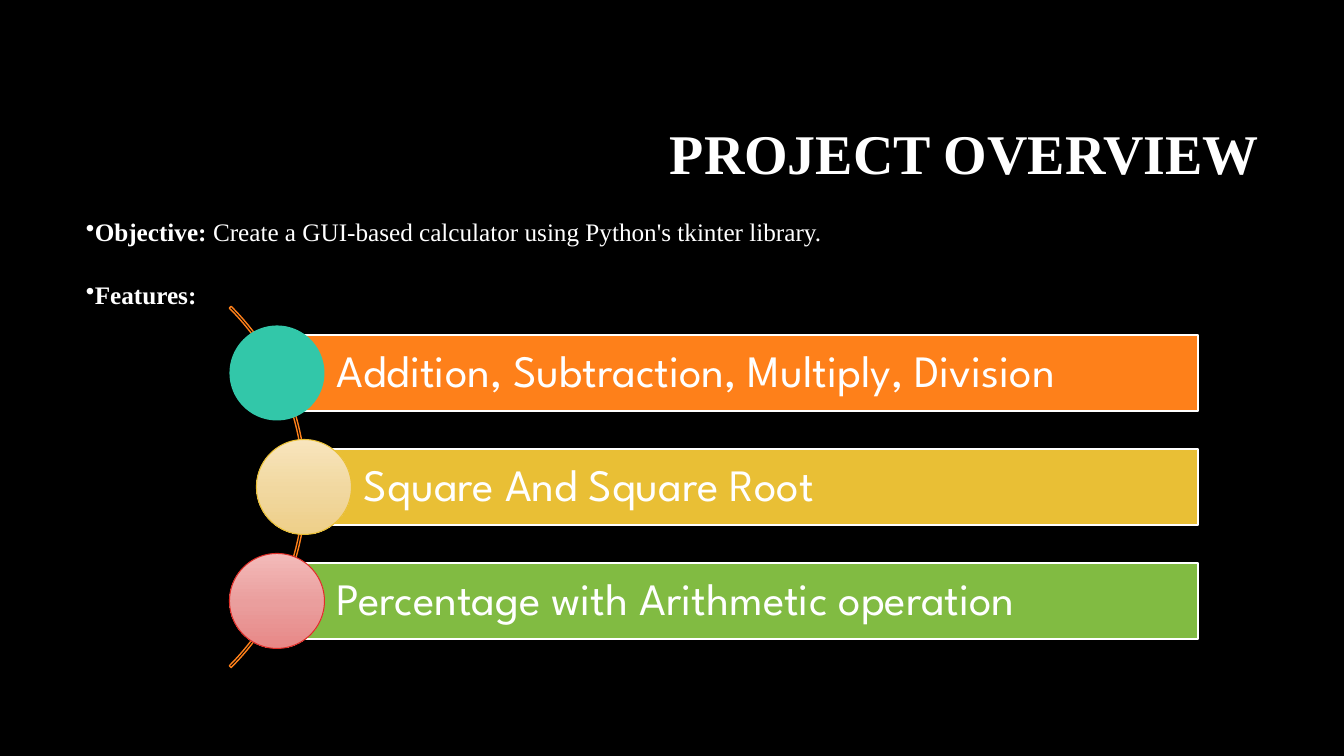
"""Builds the project overview slide of a calculator talk."""
from copy import deepcopy

from lxml.etree import SubElement
from pptx import Presentation
from pptx.dml.color import RGBColor
from pptx.enum.shapes import MSO_SHAPE as Shape
from pptx.enum.text import MSO_ANCHOR as Anchor, PP_ALIGN as Align
from pptx.oxml.ns import qn
from pptx.util import Emu, Pt

COLORS = {
    "background": "000000", "text": "FFFFFF", "arc": "FE801A",
    "orange": "FE801A", "yellow": "E9BF35", "green": "81BB42",
    "teal": "32C7A9", "red": "DF2E28",
    "cream_light": "F8E5BD", "cream": "F1D8A0", "cream_dark": "EECF89",
    "pink_light": "F3BAB9", "pink": "EA9E9D", "pink_dark": "E78887",
}
SERIF, SANS = "Times New Roman", "League Spartan"
TITLE = "PROJECT OVERVIEW"
BULLETS = [
    ("Objective:", " Create a GUI-based calculator using Python's tkinter library."),
    ("Features:", ""),
]
FEATURES = [
    ("Addition, Subtraction, Multiply, Division", 277, "orange", ["teal"], None),
    ("Square And Square Root", 304, "yellow",
     ["cream_light", "cream", "cream_dark"], "yellow"),
    ("Percentage with Arithmetic operation", 277, "green",
     ["pink_light", "pink", "pink_dark"], "red"),
]
STOPS = [0, 0.52, 1]
FIRST_CENTER, PITCH = 373, 114
BAR_RIGHT, BAR_HEIGHT, CIRCLE = 1198, 76, 95
ARC_SIZE, ARC_LEFT = 511, -205


def px(value):
    return Emu(round(value * 914400 / 100.8))


def rgb(name):
    return RGBColor.from_string(COLORS[name])


def style_font(font, name, size, bold=None):
    font.name, font.size, font.bold = name, Pt(size), bold
    font.color.rgb = rgb("text")


def add_text_box(slide, *box):
    frame = slide.shapes.add_textbox(*map(px, box)).text_frame
    frame.word_wrap = True
    frame.vertical_anchor = Anchor.MIDDLE
    return frame


def add_shape(slide, kind, box, line, width=1):
    shape = slide.shapes.add_shape(kind, *map(px, box))
    shape.shadow.inherit = False
    if line:
        shape.line.color.rgb = rgb(line)
        shape.line.width = Pt(width)
    else:
        shape.line.fill.background()
    return shape


def fill_circle(circle, colors):
    if len(colors) == 1:
        circle.fill.solid()
        circle.fill.fore_color.rgb = rgb(colors[0])
        return
    circle.fill.gradient()
    circle.fill.gradient_angle = 270
    stop_list = circle._element.spPr.find(".//" + qn("a:gsLst"))
    stop_list.insert(1, deepcopy(stop_list[0]))
    for stop, position, color in zip(circle.fill.gradient_stops, STOPS, colors):
        stop.position = position
        stop.color.rgb = rgb(color)


def add_heading(slide):
    paragraph = add_text_box(slide, 320, 85, 949, 142).paragraphs[0]
    paragraph.text = TITLE
    paragraph.alignment = Align.RIGHT
    paragraph.line_spacing = 0.9
    style_font(paragraph.font, SERIF, 40, True)


def add_bullets(slide):
    frame = add_text_box(slide, 76, 212, 764, 102)
    for index, (label, detail) in enumerate(BULLETS):
        paragraph = frame.add_paragraph() if index else frame.paragraphs[0]
        SubElement(paragraph._p.get_or_add_pPr(), qn("a:buChar")).set("char", "•")
        if index:
            paragraph.space_before = Pt(23)
        for text, bold in ((label, True), (detail, False)):
            if text:
                run = paragraph.add_run()
                run.text = text
                style_font(run.font, SERIF, 18, bold)


def add_features(slide):
    middle = FIRST_CENTER + PITCH * (len(FEATURES) - 1) / 2
    arc = add_shape(slide, Shape.BLOCK_ARC,
                    (ARC_LEFT, middle - ARC_SIZE / 2, ARC_SIZE, ARC_SIZE), "arc")
    arc.fill.background()
    for index, value in enumerate((189, 27, 0.005)):
        arc.adjustments[index] = value
    for row, (text, left, color, circle_colors, outline) in enumerate(FEATURES):
        center = FIRST_CENTER + row * PITCH
        bar = add_shape(slide, Shape.RECTANGLE,
                        (left, center - BAR_HEIGHT / 2, BAR_RIGHT - left, BAR_HEIGHT),
                        "text")
        bar.fill.solid()
        bar.fill.fore_color.rgb = rgb(color)
        frame = bar.text_frame
        frame.word_wrap = True
        frame.vertical_anchor = Anchor.MIDDLE
        frame.margin_left = px(60)
        frame.margin_top = frame.margin_right = frame.margin_bottom = px(9)
        paragraph = frame.paragraphs[0]
        paragraph.text = text
        paragraph.alignment = Align.LEFT
        paragraph.line_spacing = 0.9
        style_font(paragraph.font, SANS, 32)
        circle = add_shape(slide, Shape.OVAL,
                           (left - CIRCLE / 2, center - CIRCLE / 2, CIRCLE, CIRCLE),
                           outline, 0.75)
        fill_circle(circle, circle_colors)


def main():
    presentation = Presentation()
    presentation.slide_width, presentation.slide_height = px(1344), px(756)
    slide = presentation.slides.add_slide(presentation.slide_layouts[6])
    slide.background.fill.solid()
    slide.background.fill.fore_color.rgb = rgb("background")
    add_heading(slide)
    add_bullets(slide)
    add_features(slide)
    presentation.save("out.pptx")


if __name__ == "__main__":
    main()
